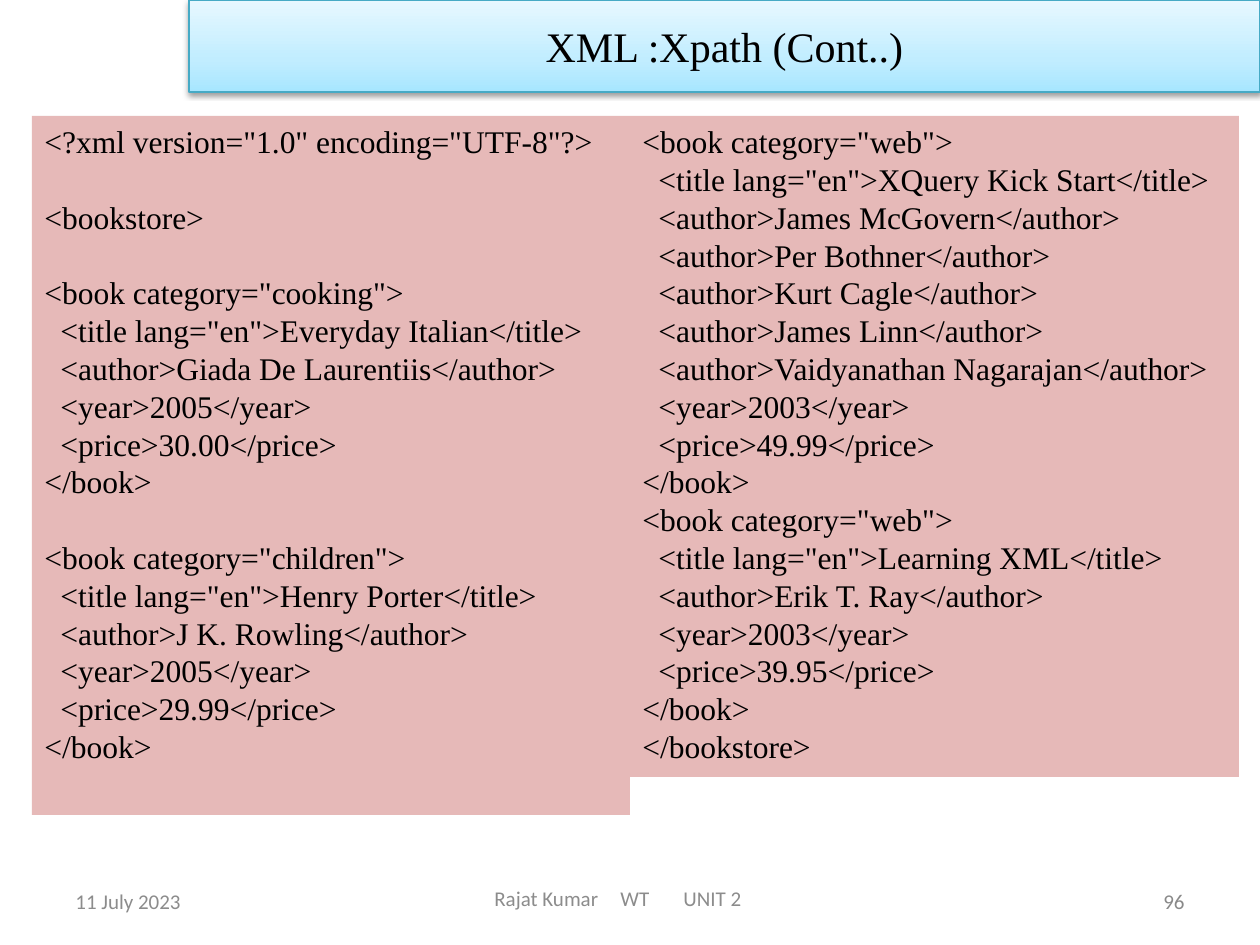
"""Build a slide that shows an XML bookstore listing in two code panels."""
import copy
from dataclasses import dataclass

import pptx
import pptx.dml.color
import pptx.enum.shapes
import pptx.enum.text
import pptx.oxml
import pptx.oxml.ns
import pptx.util

PX = 914400 / 126
LINE_PITCH = 21.6
COLOURS = {
    "text": "000000",
    "footer": "8C8C8C",
    "number": "898989",
    "panel": "E6B9B8",
    "edge": "46AAC5",
    "low": "A7E6FF",
    "middle": "C1EDFF",
    "high": "E7F8FF",
}
SERIF, SANS = "Times New Roman", "Calibri"
ALIGN = pptx.enum.text.PP_ALIGN
ANCHOR = pptx.enum.text.MSO_ANCHOR


@dataclass
class Area:
    left: int
    top: int
    width: int
    height: int


@dataclass
class Line:
    text: str
    indent: int = 0
    gap: bool = False


@dataclass
class Book:
    category: str
    title: str
    authors: tuple[str, ...]
    year: str
    price: str
    gap: bool = False

    def lines(self) -> list[Line]:
        authors = [f"<author>{name}</author>" for name in self.authors]
        fields = [f'<title lang="en">{self.title}</title>', *authors,
                  f"<year>{self.year}</year>", f"<price>{self.price}</price>"]
        return [Line(f'<book category="{self.category}">', gap=self.gap),
                *(Line(field, indent=16) for field in fields),
                Line("</book>")]


COOKING = Book("cooking", "Everyday Italian", ("Giada De Laurentiis",), "2005", "30.00", gap=True)
CHILDREN = Book("children", "Henry Porter", ("J K. Rowling",), "2005", "29.99", gap=True)
XQUERY = Book("web", "XQuery Kick Start",
              ("James McGovern", "Per Bothner", "Kurt Cagle", "James Linn",
               "Vaidyanathan Nagarajan"), "2003", "49.99")
LEARNING = Book("web", "Learning XML", ("Erik T. Ray",), "2003", "39.95")

PANELS = (
    (Area(32, 116, 598, 699),
     [Line('<?xml version="1.0" encoding="UTF-8"?>'), Line("<bookstore>", gap=True),
      *COOKING.lines(), *CHILDREN.lines()]),
    (Area(630, 116, 609, 661),
     [*XQUERY.lines(), *LEARNING.lines(), Line("</bookstore>")]),
)


def emu(px: int) -> pptx.util.Emu:
    return pptx.util.Emu(round(px * PX))


def colour(name: str) -> pptx.dml.color.RGBColor:
    return pptx.dml.color.RGBColor.from_string(COLOURS[name])


def place(area: Area) -> tuple:
    return emu(area.left), emu(area.top), emu(area.width), emu(area.height)


def write(para, text: str, *, size: int, font: str, ink: str, align=ALIGN.LEFT) -> None:
    para.alignment = align
    span = para.add_run()
    span.text = text
    span.font.size = pptx.util.Pt(size)
    span.font.name = font
    span.font.color.rgb = colour(ink)


def add_rectangle(page, area: Area, anchor):
    box = page.shapes.add_shape(pptx.enum.shapes.MSO_SHAPE.RECTANGLE, *place(area))
    box.shadow.inherit = False
    box.text_frame.word_wrap = True
    box.text_frame.vertical_anchor = anchor
    return box


def add_title(page, area: Area, text: str) -> None:
    box = add_rectangle(page, area, ANCHOR.MIDDLE)
    box.fill.gradient()
    box.fill.gradient_angle = 90
    stop_list = box.element.spPr.find(".//" + pptx.oxml.ns.qn("a:gsLst"))
    stop_list.append(copy.deepcopy(stop_list[-1]))
    stops = (("low", 0), ("middle", 0.35), ("high", 1))
    for stop, (name, position) in zip(box.fill.gradient_stops, stops):
        stop.color.rgb = colour(name)
        stop.position = position
    box.line.color.rgb = colour("edge")
    box.line.width = pptx.util.Pt(0.75)
    shadow = pptx.oxml.parse_xml(
        f'<a:outerShdw {pptx.oxml.ns.nsdecls("a")} blurRad="39370" dist="20320" '
        'dir="5400000" rotWithShape="0"><a:srgbClr val="000000">'
        '<a:alpha val="38000"/></a:srgbClr></a:outerShdw>')
    box.element.spPr.find(pptx.oxml.ns.qn("a:effectLst")).append(shadow)
    write(box.text_frame.paragraphs[0], text, size=24, font=SERIF, ink="text",
          align=ALIGN.CENTER)


def add_panel(page, area: Area, lines: list[Line]) -> None:
    box = add_rectangle(page, area, ANCHOR.TOP)
    box.fill.solid()
    box.fill.fore_color.rgb = colour("panel")
    box.line.fill.background()
    frame = box.text_frame
    for index, line in enumerate(lines):
        para = frame.add_paragraph() if index else frame.paragraphs[0]
        para.line_spacing = pptx.util.Pt(LINE_PITCH)
        para.space_before = pptx.util.Pt(LINE_PITCH if line.gap else 0)
        properties = para._p.get_or_add_pPr()
        properties.set("marL", str(emu(line.indent)))
        properties.set("indent", "0")
        write(para, line.text, size=18, font=SERIF, ink="text")


def add_footer(page, area: Area, text: str, *, ink: str = "footer", align=ALIGN.LEFT,
               indent: int = 0, tabs: tuple[int, ...] = ()) -> None:
    box = page.shapes.add_textbox(*place(area))
    box.text_frame.word_wrap = True
    box.text_frame.vertical_anchor = ANCHOR.MIDDLE
    para = box.text_frame.paragraphs[0]
    write(para, text, size=12, font=SANS, ink=ink, align=align)
    properties = para._p.get_or_add_pPr()
    properties.set("marL", str(emu(indent)))
    properties.set("indent", "0")
    if tabs:
        stops = "".join(f'<a:tab pos="{emu(tab)}" algn="l"/>' for tab in tabs)
        properties.append(pptx.oxml.parse_xml(
            f'<a:tabLst {pptx.oxml.ns.nsdecls("a")}>{stops}</a:tabLst>'))


def main() -> None:
    deck = pptx.Presentation()
    deck.slide_width, deck.slide_height = emu(1260), emu(945)
    page = deck.slides.add_slide(deck.slide_layouts[6])
    add_footer(page, Area(63, 876, 294, 50), "11 July 2023")
    add_footer(page, Area(903, 876, 294, 50), "96", ink="number", align=ALIGN.RIGHT)
    add_title(page, Area(189, 0, 1071, 92), "XML :Xpath (Cont..)")
    add_footer(page, Area(315, 873, 693, 50), "Rajat Kumar\tWT\tUNIT 2",
               indent=167, tabs=(342, 441))
    for area, lines in PANELS:
        add_panel(page, area, lines)
    deck.save("out.pptx")


if __name__ == "__main__":
    main()
